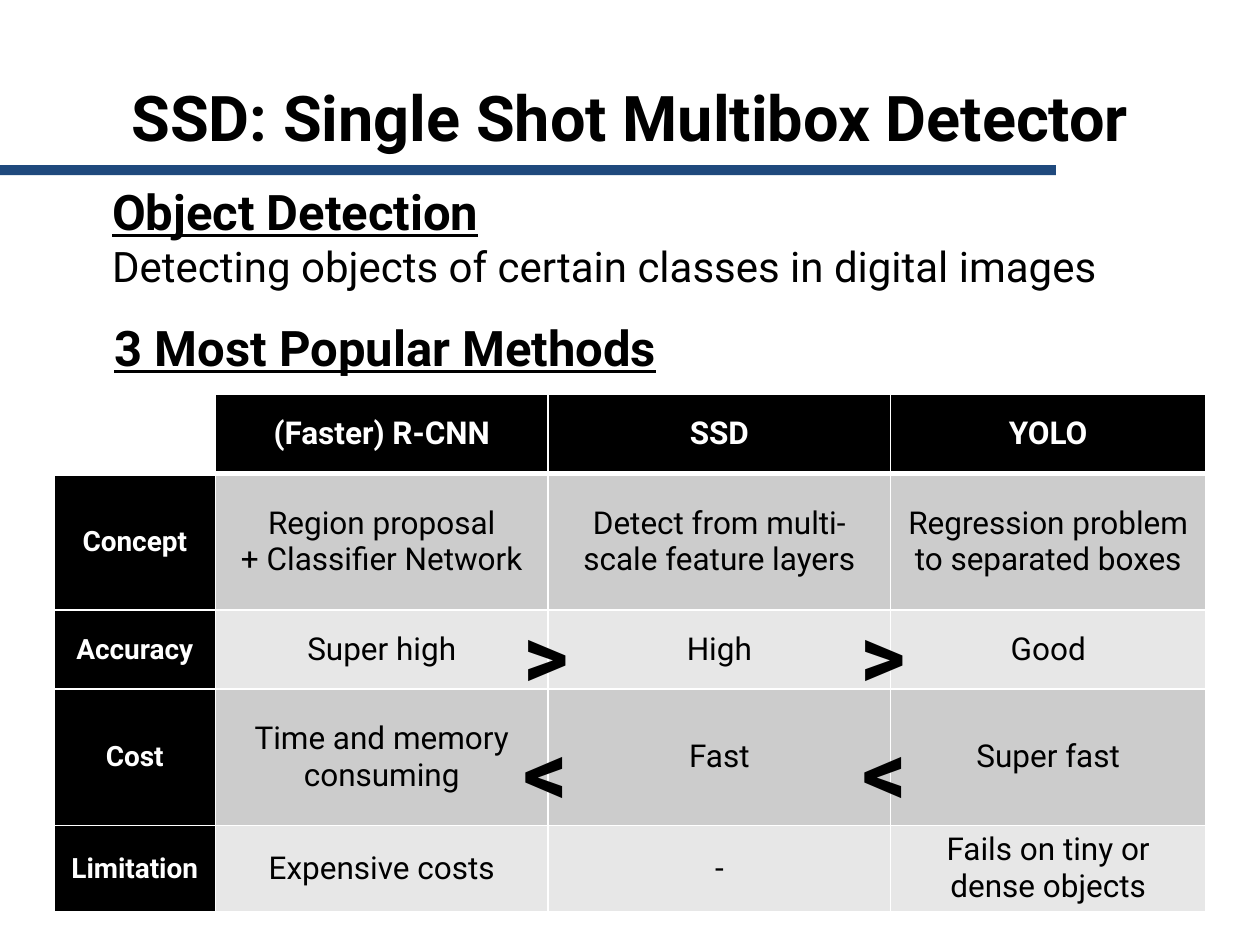
from lxml import etree
from pptx import Presentation
from pptx.dml.color import RGBColor
from pptx.enum import shapes, text
from pptx.oxml import ns
from pptx.util import Inches, Pt

FONT = "Roboto"
BLACK, WHITE, BLUE = "000000", "FFFFFF", "1F497D"
BANDS = ("CCCCCC", "E7E7E7")
COLUMN_WIDTHS = (1.28, 2.64, 2.72, 2.5)
ROW_HEIGHTS = (0.63, 1.08, 0.63, 1.08, 0.63)
METHODS = (
    ("", "(Faster) R-CNN", "SSD", "YOLO"),
    ("Concept", "Region proposal\n+ Classifier Network",
     "Detect from multi-scale feature layers", "Regression problem to separated boxes"),
    ("Accuracy", "Super high", "High", "Good"),
    ("Cost", "Time and memory consuming", "Fast", "Super fast"),
    ("Limitation", "Expensive costs", "-", "Fails on tiny or dense objects"),
)
COMPARISONS = ((">", 4.06, 4.71), (">", 6.73, 4.71), ("<", 4.06, 5.64), ("<", 6.75, 5.64))


def color(value):
    """Return the colour for a hex string."""
    return RGBColor.from_string(value)


def add_run(paragraph, words, size, bold=True, underline=False, fill=BLACK):
    """Add one formatted run to a paragraph."""
    run = paragraph.add_run()
    run.text = words
    font = run.font
    font.name, font.size, font.bold, font.underline = FONT, Pt(size), bold, underline
    font.color.rgb = color(fill)


def place(shape, left, top, width, height):
    """Move and size a shape in inches."""
    shape.left, shape.top = Inches(left), Inches(top)
    shape.width, shape.height = Inches(width), Inches(height)


def add_title(slide, words):
    """Fill the title placeholder."""
    title = slide.shapes.title
    place(title, 0.5, 0.3, 9, 1.25)
    frame = title.text_frame
    frame.auto_size = text.MSO_AUTO_SIZE.NONE
    frame.vertical_anchor = text.MSO_ANCHOR.MIDDLE
    paragraph = frame.paragraphs[0]
    paragraph.alignment = text.PP_ALIGN.CENTER
    add_run(paragraph, words, 36)


def add_definition(slide, heading, sentence):
    """Fill the body placeholder with a heading and a sentence, without bullets."""
    body = slide.placeholders[1]
    place(body, 0.79, 1.39, 8.54, 1.02)
    body.text_frame.auto_size = text.MSO_AUTO_SIZE.NONE
    paragraph = body.text_frame.paragraphs[0]
    properties = paragraph._p.get_or_add_pPr()
    properties.set("marL", "0")
    properties.set("indent", "0")
    etree.SubElement(properties, ns.qn("a:buNone"))
    add_run(paragraph, heading, 28, underline=True)
    paragraph.add_line_break()
    add_run(paragraph, sentence, 24, bold=False)


def add_label(slide, words, box, size, underline=False):
    """Add a one-line bold text box."""
    label = slide.shapes.add_textbox(*map(Inches, box))
    label.text_frame.word_wrap = False
    add_run(label.text_frame.paragraphs[0], words, size, underline=underline)


def add_bar(slide):
    """Add the bar under the title."""
    bar = slide.shapes.add_shape(shapes.MSO_SHAPE.RECTANGLE, 0, 0, 0, 0)
    place(bar, -0.12, 1.31, 8.5, 0.08)
    bar.shadow.inherit = False
    bar.fill.solid()
    bar.fill.fore_color.rgb = color(BLUE)
    bar.line.fill.background()


def set_borders(cell, header):
    """Draw white cell borders, with a thick line under the header."""
    properties = cell._tc.get_or_add_tcPr()
    for index, side in enumerate("LRTB"):
        line = etree.Element(ns.qn(f"a:ln{side}"), w=str(Pt(3 if header and side == "B" else 1)))
        fill = etree.SubElement(line, ns.qn("a:solidFill"))
        etree.SubElement(fill, ns.qn("a:srgbClr"), val=WHITE)
        properties.insert(index, line)


def fill_cell(cell, words, row, column):
    """Write and colour one cell by its place in the table."""
    is_label = row == 0 or column == 0
    background = BLACK if is_label else BANDS[(row - 1) % 2]
    cell.fill.solid()
    cell.fill.fore_color.rgb = color(background if words else WHITE)
    set_borders(cell, row == 0)
    cell.vertical_anchor = text.MSO_ANCHOR.MIDDLE
    if not words:
        return
    frame = cell.text_frame
    for index, line in enumerate(words.split("\n")):
        paragraph = frame.add_paragraph() if index else frame.paragraphs[0]
        paragraph.alignment = text.PP_ALIGN.CENTER
        add_run(paragraph, line, 18 if column else 16, bold=is_label,
                fill=WHITE if is_label else BLACK)


def add_methods_table(slide):
    """Add the table that compares the methods."""
    table = slide.shapes.add_table(
        len(ROW_HEIGHTS), len(COLUMN_WIDTHS), Inches(0.43), Inches(3.13),
        Inches(sum(COLUMN_WIDTHS)), Inches(sum(ROW_HEIGHTS))).table
    for column, width in zip(table.columns, COLUMN_WIDTHS):
        column.width = Inches(width)
    for row, height in zip(table.rows, ROW_HEIGHTS):
        row.height = Inches(height)
    for row, entries in enumerate(METHODS):
        for column, words in enumerate(entries):
            fill_cell(table.cell(row, column), words, row, column)


def main():
    """Build and save the slide."""
    presentation = Presentation()
    presentation.slide_width, presentation.slide_height = Inches(10), Inches(7.5)
    slide = presentation.slides.add_slide(presentation.slide_layouts[1])
    add_methods_table(slide)
    add_definition(slide, "Object Detection",
                   "Detecting objects of certain classes in digital images")
    add_label(slide, "3 Most Popular Methods", (0.81, 2.47, 4.75, 0.57), 28, underline=True)
    add_title(slide, "SSD: Single Shot Multibox Detector")
    for sign, left, top in COMPARISONS:
        add_label(slide, sign, (left, top, 0.61, 0.94), 50)
    add_bar(slide)
    presentation.save("out.pptx")


if __name__ == "__main__":
    main()
